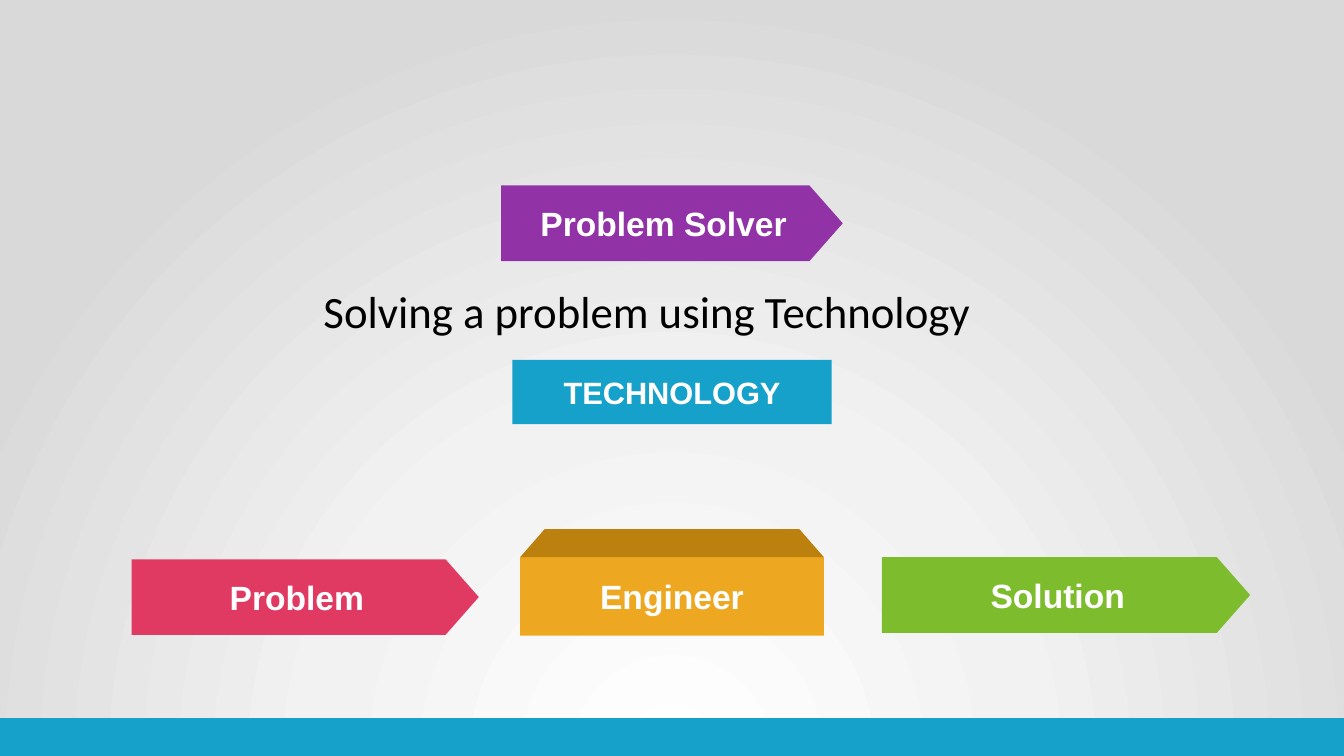
from pptx import Presentation
from pptx.dml.color import RGBColor
from pptx.enum.shapes import MSO_SHAPE as Shape
from pptx.enum.text import MSO_ANCHOR as Anchor, PP_ALIGN as Align
from pptx.oxml import parse_xml
from pptx.oxml.ns import nsdecls, qn
from pptx.util import Pt

WHITE, BLUE = "FFFFFF", "16A1CA"
WIDE, HIGH = 960, 540


def paint(fill, color):
    fill.solid()
    fill.fore_color.rgb = RGBColor.from_string(color)


def write(shape, text, size=24, font="Arial", color=WHITE, bold=True,
          align=Align.CENTER, anchor=Anchor.MIDDLE):
    frame = shape.text_frame
    frame.word_wrap = True
    frame.vertical_anchor = anchor
    line = frame.paragraphs[0]
    line.alignment = align
    run = line.add_run()
    run.text = text
    run.font.size = Pt(size)
    run.font.name = font
    run.font.bold = bold
    paint(run.font.fill, color)


deck = Presentation()
deck.slide_width, deck.slide_height = Pt(WIDE), Pt(HIGH)
slide = deck.slides.add_slide(deck.slide_layouts[6])

# Backdrop: a glow that spreads from below the bottom edge
slide.background.fill.gradient()
old = next(slide.element.iter(qn("a:gradFill")))
stops = "".join(
    f'<a:gs pos="{pos * 1000}"><a:srgbClr val="{color}"/></a:gs>'
    for pos, color in [(0, WHITE), (46, "F2F2F2"), (100, "D9D9D9")])
glow = parse_xml(
    f'<a:gradFill {nsdecls("a")} rotWithShape="1"><a:gsLst>{stops}</a:gsLst>'
    '<a:path path="circle"><a:fillToRect l="50000" t="130000" r="50000" '
    'b="-30000"/></a:path></a:gradFill>')
old.getparent().replace(old, glow)

# Blocks: kind, left, top, width, height, fill, text, text size
TAG, BOX = Shape.PENTAGON, Shape.RECTANGLE
blocks = [
    (BOX, 0, 513, WIDE, 27, BLUE, "", 0),
    (TAG, 358, 132.5, 244, 54, "9132A6", "Problem Solver", 24),
    (TAG, 94, 399.5, 248, 54, "E13A62", "Problem", 24),
    (BOX, 371.5, 398, 217, 56, "EEA720", "Engineer", 24),
    (Shape.TRAPEZOID, 371.5, 378, 217, 20, "BC800E", "", 0),
    (TAG, 630, 398, 263, 54, "7DBC2D", "Solution", 24),
    (BOX, 366, 257, 228, 46, BLUE, "TECHNOLOGY", 22),
]
slant = {TAG: 0.44, Shape.TRAPEZOID: 0.875}
for kind, left, top, width, height, color, text, size in blocks:
    block = slide.shapes.add_shape(
        kind, Pt(left), Pt(top), Pt(width), Pt(height))
    block.shadow.inherit = False
    paint(block.fill, color)
    block.line.fill.background()
    if kind in slant:
        block.adjustments[0] = slant[kind]
    if text:
        write(block, text, size=size)

motto = slide.shapes.add_textbox(Pt(224), Pt(199), Pt(573), Pt(46))
write(motto, "Solving a problem using Technology", size=32, font="Calibri",
      color="000000", bold=False, align=Align.LEFT, anchor=Anchor.TOP)

deck.save("out.pptx")
